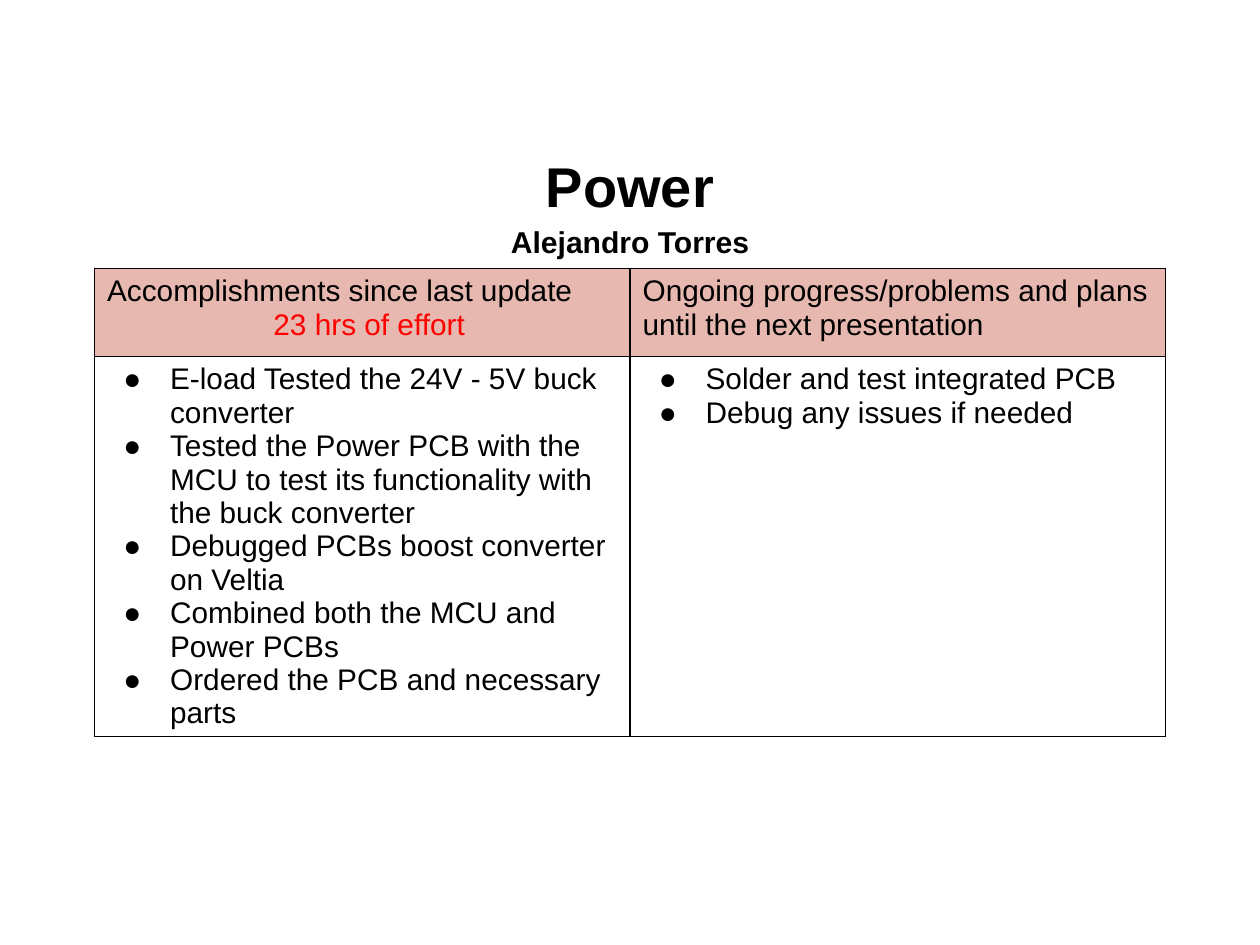
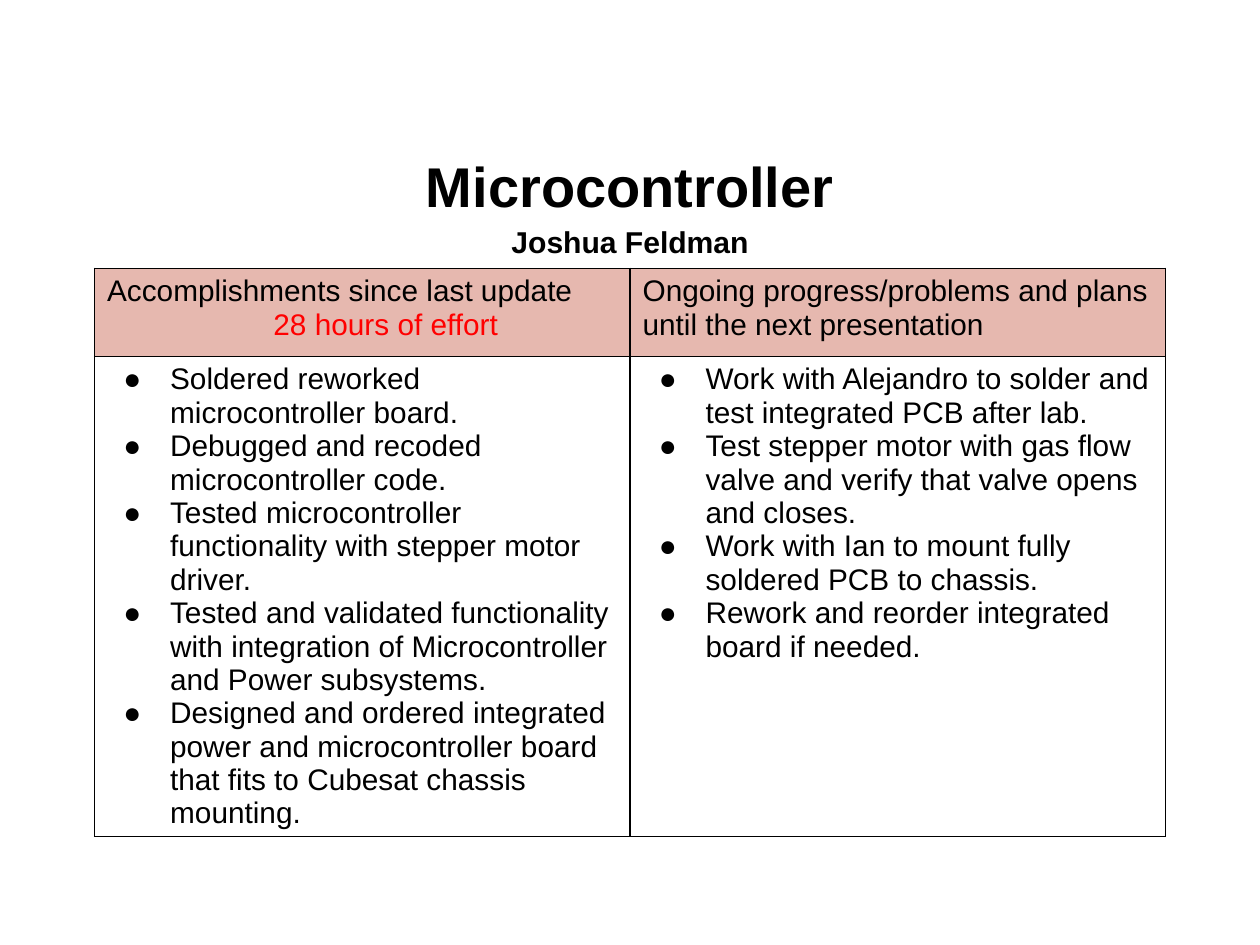
from dataclasses import dataclass

from lxml import etree
from pptx import Presentation
from pptx.dml.color import RGBColor
from pptx.enum.text import MSO_ANCHOR, MSO_AUTO_SIZE, PP_ALIGN
from pptx.oxml.ns import qn
from pptx.util import Inches, Pt

CENTER, LEFT = PP_ALIGN.CENTER, PP_ALIGN.LEFT
MIDDLE = MSO_ANCHOR.MIDDLE
NO_AUTOFIT = MSO_AUTO_SIZE.NONE
TITLE_ONLY = 5


@dataclass(frozen=True)
class Theme:
    """Colours, font and type sizes shared by the update slides."""
    font: str = "Arial"
    ink: str = "000000"
    effort: str = "FF0000"
    header: str = "E6B8AF"
    title_size: float = 32
    name_size: float = 17.2
    table_size: float = 17
    border: float = 1


THEME = Theme()
TITLE_BOX = (0.5, 1.15, 9, 0.88)
TABLE_BOX = (0.75, 2.13, 8.5, 2.6)
HEADER_HEIGHT = 0.7
PLANS_HEADING = "Ongoing progress/problems and plans until the next presentation"

UPDATES = [
    {
        "subsystem": "Power",
        "owner": "Alejandro Torres",
        "effort": "23 hrs of effort",
        "done": [
            "E-load Tested the 24V - 5V buck converter",
            "Tested the Power PCB with the MCU to test its functionality with the buck converter",
            "Debugged PCBs boost converter on Veltia",
            "Combined both the MCU and Power PCBs",
            "Ordered the PCB and necessary parts",
        ],
        "plans": ["Solder and test integrated PCB", "Debug any issues if needed"],
    },
    {
        "subsystem": "Microcontroller",
        "owner": "Joshua Feldman",
        "effort": "28 hours of effort",
        "done": [
            "Soldered reworked microcontroller board.",
            "Debugged and recoded microcontroller code.",
            "Tested microcontroller functionality with stepper motor driver.",
            "Tested and validated functionality with integration of Microcontroller "
            "and Power subsystems.",
            "Designed and ordered integrated power and microcontroller board that fits "
            "to Cubesat chassis mounting.",
        ],
        "plans": [
            "Work with Alejandro to solder and test integrated PCB after lab.",
            "Test stepper motor with gas flow valve and verify that valve opens and closes.",
            "Work with Ian to mount fully soldered PCB to chassis.",
            "Rework and reorder integrated board if needed.",
        ],
    },
]


def add_text(frame, text, first=False, size=THEME.table_size, color=THEME.ink,
             bold=False, align=LEFT, spacing=1.0, left=0, hanging=0, bullet=None):
    """Write one formatted paragraph into a text frame."""
    para = frame.paragraphs[0] if first else frame.add_paragraph()
    para.alignment = align
    para.line_spacing = spacing
    para.space_before = para.space_after = Pt(0)
    properties = para._p.get_or_add_pPr()
    properties.set("marL", str(Inches(left)))
    properties.set("indent", str(-Inches(hanging)))
    if bullet:
        bullet_color = etree.SubElement(properties, qn("a:buClr"))
        etree.SubElement(bullet_color, qn("a:srgbClr"), val=color)
        etree.SubElement(properties, qn("a:buFont"), typeface=THEME.font)
        etree.SubElement(properties, qn("a:buChar"), char=bullet)
    span = para.add_run()
    span.text = text
    span.font.name = THEME.font
    span.font.size = Pt(size)
    span.font.bold = bold
    span.font.color.rgb = RGBColor.from_string(color)


def style_cell(cell, fill=None):
    """Give a cell thin borders on all sides and an optional fill."""
    properties = cell._tc.get_or_add_tcPr()
    for side in ("lnL", "lnR", "lnT", "lnB"):
        line = etree.SubElement(properties, qn(f"a:{side}"), w=str(Pt(THEME.border)))
        paint = etree.SubElement(line, qn("a:solidFill"))
        etree.SubElement(paint, qn("a:srgbClr"), val=THEME.ink)
    if fill:
        cell.fill.solid()
        cell.fill.fore_color.rgb = RGBColor.from_string(fill)
    else:
        cell.fill.background()


def add_heading(page, box, subsystem, owner):
    """Place the subsystem and its owner in the title placeholder."""
    title = page.shapes.title
    title.left, title.top, title.width, title.height = map(Inches, box)
    frame = title.text_frame
    frame.auto_size = NO_AUTOFIT
    frame.word_wrap = True
    frame.vertical_anchor = MIDDLE
    shared = {"bold": True, "align": CENTER, "spacing": 1.15}
    add_text(frame, subsystem, first=True, size=THEME.title_size, **shared)
    add_text(frame, owner, size=THEME.name_size, **shared)


def add_status_table(page, box, effort, done, plans):
    """Place the table of finished work beside upcoming plans."""
    left, top, width, height = box
    table = page.shapes.add_table(2, 2, *map(Inches, box)).table
    table.first_row = table.horz_banding = False
    for column in table.columns:
        column.width = Inches(width / 2)
    table.rows[0].height = Inches(HEADER_HEIGHT)
    table.rows[1].height = Inches(height - HEADER_HEIGHT)
    for index, items in enumerate((done, plans)):
        style_cell(table.cell(0, index), THEME.header)
        body = table.cell(1, index)
        style_cell(body)
        for number, item in enumerate(items):
            add_text(body.text_frame, item, first=number == 0,
                     left=0.5, hanging=0.37, bullet="●")
    done_heading = table.cell(0, 0).text_frame
    add_text(done_heading, "Accomplishments since last update", first=True)
    add_text(done_heading, effort, color=THEME.effort, left=1.32)
    add_text(table.cell(0, 1).text_frame, PLANS_HEADING, first=True)


def add_update_slide(deck, update):
    """Add one subsystem status slide."""
    page = deck.slides.add_slide(deck.slide_layouts[TITLE_ONLY])
    add_heading(page, TITLE_BOX, update["subsystem"], update["owner"])
    add_status_table(page, TABLE_BOX, update["effort"], update["done"], update["plans"])


def main():
    """Build and save the status deck."""
    deck = Presentation()
    deck.slide_width, deck.slide_height = Inches(10), Inches(7.5)
    for update in UPDATES:
        add_update_slide(deck, update)
    deck.save("out.pptx")


if __name__ == "__main__":
    main()
